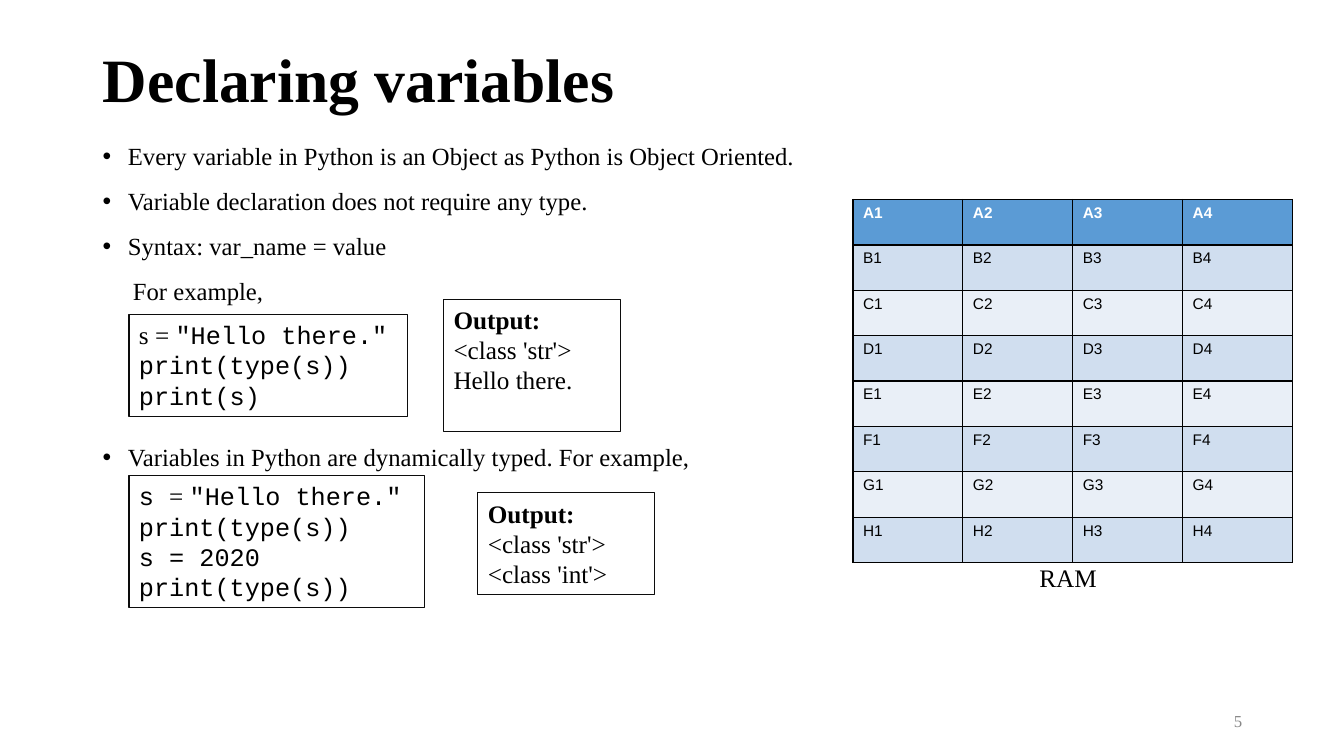
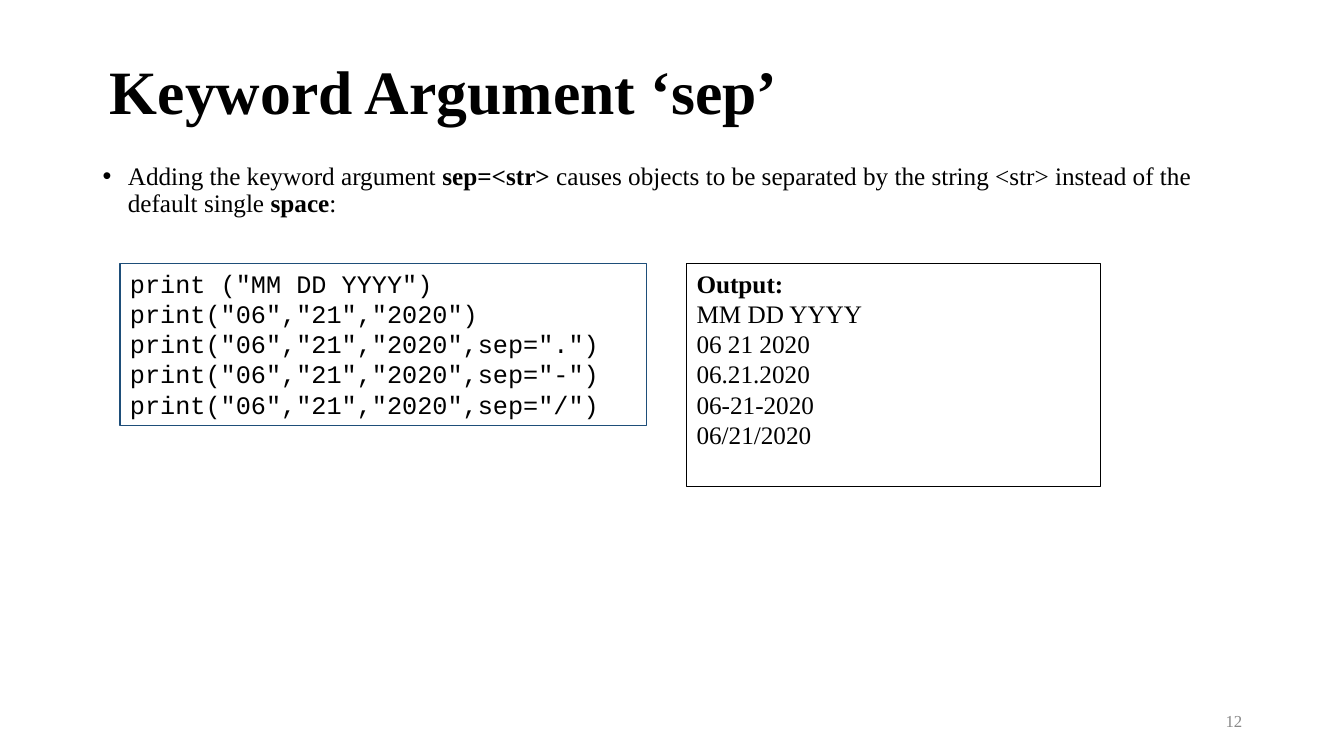
from lxml.etree import SubElement
from pptx import Presentation
from pptx.dml.color import RGBColor
from pptx.enum.shapes import MSO_SHAPE
from pptx.enum.text import MSO_ANCHOR, MSO_AUTO_SIZE, PP_ALIGN
from pptx.oxml.ns import qn
from pptx.util import Inches, Pt

BLACK = RGBColor(0x00, 0x00, 0x00)
WHITE = RGBColor(0xFF, 0xFF, 0xFF)
NEAR_BLACK = RGBColor(0x0C, 0x0C, 0x0C)
NAVY = RGBColor(0x1E, 0x4E, 0x79)
GRAY = RGBColor(0x88, 0x88, 0x88)
HEADER_BLUE = RGBColor(0x5B, 0x9B, 0xD5)
BANDS = RGBColor(0xD0, 0xDE, 0xEF), RGBColor(0xE9, 0xEF, 0xF7)

SERIF = {"name": "Times New Roman", "size": Pt(18), "bold": False, "color": BLACK}
BOLD = SERIF | {"bold": True}
CODE = SERIF | {"name": "Courier New"}
POINT = SERIF | {"size": Pt(17.6)}
TITLE = BOLD | {"size": Pt(44)}
PAGE_NUMBER = SERIF | {"size": Pt(12), "color": GRAY}
CELL = SERIF | {"name": "Arial", "size": Pt(11)}
HEADER_CELL = CELL | {"bold": True, "color": WHITE}

LINE_HEIGHT = 0.303
BOX_PADDING = 0.1
BULLET_INDENT = 0.25


def output(*lines):
    return [[("Output:", BOLD)]] + [[(line, SERIF)] for line in lines]


def code(*lines):
    return [[(line, CODE)] for line in lines]


# Points: runs, and paragraph format. Boxes: left, top, width, rows, line colour, paragraphs.
SLIDES = [
    {
        "title": "Declaring variables",
        "title_area": (0.92, 0.4, 11.5, 0.83),
        "number": "5",
        "points_area": (0.92, 1.35, 11.15, 5.19),
        "points": [
            ([("Every variable in Python is an Object as Python is Object Oriented.", POINT)], {}),
            ([("Variable declaration does not require any type.", POINT)], {"space_before": Pt(11)}),
            ([("Syntax: var_name = value", POINT)], {"space_before": Pt(11)}),
            ([("For example,", POINT)], {"space_before": Pt(11), "plain_indent": 0.3}),
            ([("Variables in Python are dynamically typed. For example,", POINT)],
             {"space_before": Pt(97.5)}),
        ],
        "boxes": [
            (1.28, 3.12, 2.76, 3, NEAR_BLACK,
             [[("s = ", SERIF), ('"Hello there."', CODE)]] + code("print(type(s))", "print(s)")),
            (4.4, 2.97, 1.75, 4, NEAR_BLACK, output("<class 'str'>", "Hello there.")),
            (1.28, 4.72, 2.93, 4, NEAR_BLACK,
             [[("s ", CODE), ("= ", SERIF), ('"Hello there."', CODE)]]
             + code("print(type(s))", "s = 2020", "print(type(s))")),
            (4.74, 4.89, 1.75, 3, NEAR_BLACK, output("<class 'str'>", "<class 'int'>")),
        ],
        "memory": {
            "cells": [[f"{row}{column}" for column in range(1, 5)] for row in "ABCDEFGH"],
            "corner": (8.46, 1.98),
            "cell_size": (1.09, 0.45),
            "caption": "RAM",
            "caption_area": (10.21, 5.53, 0.88, 0.4),
        },
    },
    {
        "title": "Keyword Argument ‘sep’",
        "title_area": (0.99, 0.4, 11.23, 1.08),
        "number": "12",
        "points_area": (0.92, 1.57, 11.5, 5.18),
        "points": [
            ([("Adding the keyword argument ", SERIF), ("sep=<str> ", BOLD),
              ("causes objects to be separated by the string <str> instead of the default single ",
               SERIF),
              ("space", BOLD), (":", SERIF)], {"line_spacing": 0.9}),
        ],
        "boxes": [
            (1.19, 2.61, 5.22, 5, NAVY,
             code('print ("MM DD YYYY")', 'print("06","21","2020")',
                  *[f'print("06","21","2020",sep="{mark}")' for mark in ".-/"])),
            (6.81, 2.61, 4.11, 7, BLACK,
             output("MM DD YYYY", "06 21 2020", "06.21.2020", "06-21-2020", "06/21/2020")),
        ],
    },
]


def set_attributes(target, values):
    for attribute, value in values.items():
        setattr(target, attribute, value)


def write_runs(paragraph, runs):
    for text, look in runs:
        run = paragraph.add_run()
        run.text = text
        set_attributes(run.font, {key: look[key] for key in ("name", "size", "bold")})
        run.font.color.rgb = look["color"]


def write_paragraphs(frame, paragraphs, anchor=MSO_ANCHOR.TOP, **paragraph_format):
    set_attributes(frame, {"word_wrap": True, "auto_size": MSO_AUTO_SIZE.NONE,
                           "vertical_anchor": anchor})
    for index, runs in enumerate(paragraphs):
        paragraph = frame.add_paragraph() if index else frame.paragraphs[0]
        set_attributes(paragraph, {"alignment": PP_ALIGN.LEFT} | paragraph_format)
        write_runs(paragraph, runs)


def indent(paragraph, left, bullet=False):
    properties = paragraph._p.get_or_add_pPr()
    properties.set("marL", str(Inches(left)))
    properties.set("indent", str(-Inches(left) if bullet else 0))
    if bullet:
        color = SubElement(properties, qn("a:buClr"))
        SubElement(color, qn("a:srgbClr"), val=str(BLACK))
        SubElement(properties, qn("a:buFont"), typeface="Arial")
        SubElement(properties, qn("a:buChar"), char="•")


def add_text(slide, area, paragraphs, **text_format):
    frame = slide.shapes.add_textbox(*map(Inches, area)).text_frame
    write_paragraphs(frame, paragraphs, **text_format)
    return frame


def add_title(slide, text, area):
    title = slide.shapes.title
    set_attributes(title, dict(zip(("left", "top", "width", "height"), map(Inches, area))))
    write_paragraphs(title.text_frame, [[(text, TITLE)]], MSO_ANCHOR.MIDDLE, line_spacing=0.9)


def add_points(slide, area, points):
    frame = add_text(slide, area, [runs for runs, _ in points])
    for paragraph, (_, look) in zip(frame.paragraphs, points):
        look = dict(look)
        plain_indent = look.pop("plain_indent", None)
        set_attributes(paragraph, look)
        indent(paragraph, plain_indent or BULLET_INDENT, bullet=plain_indent is None)


def add_box(slide, left, top, width, rows, line_color, paragraphs):
    area = left, top, width, rows * LINE_HEIGHT + BOX_PADDING
    box = slide.shapes.add_shape(MSO_SHAPE.RECTANGLE, *map(Inches, area))
    box.shadow.inherit = False
    box.fill.background()
    box.line.color.rgb = line_color
    box.line.width = Pt(0.75)
    write_paragraphs(box.text_frame, paragraphs, MSO_ANCHOR.TOP)


def fill_cell(cell, color):
    """Give a cell its fill and a thin black border on all sides."""
    properties = cell._tc.get_or_add_tcPr()
    for side in ("lnL", "lnR", "lnT", "lnB"):
        border = SubElement(properties, qn(f"a:{side}"), w=str(Pt(1)))
        SubElement(SubElement(border, qn("a:solidFill")), qn("a:srgbClr"), val=str(BLACK))
    cell.fill.solid()
    cell.fill.fore_color.rgb = color


def add_memory(slide, cells, corner, cell_size, caption, caption_area):
    width, height = cell_size
    size = width * len(cells[0]), height * len(cells)
    table = slide.shapes.add_table(len(cells), len(cells[0]), *map(Inches, corner + size)).table
    for row, labels in enumerate(cells):
        for column, label in enumerate(labels):
            cell = table.cell(row, column)
            write_runs(cell.text_frame.paragraphs[0], [(label, CELL if row else HEADER_CELL)])
            fill_cell(cell, BANDS[(row - 1) % 2] if row else HEADER_BLUE)
    add_text(slide, caption_area, [[(caption, SERIF)]])


def main():
    deck = Presentation()
    deck.slide_width, deck.slide_height = Inches(13.33), Inches(7.5)
    title_only = deck.slide_layouts[5]
    for content in SLIDES:
        slide = deck.slides.add_slide(title_only)
        add_title(slide, content["title"], content["title_area"])
        add_points(slide, content["points_area"], content["points"])
        add_text(slide, (9.42, 6.95, 3, 0.4), [[(content["number"], PAGE_NUMBER)]],
                 anchor=MSO_ANCHOR.MIDDLE, alignment=PP_ALIGN.RIGHT)
        for box in content["boxes"]:
            add_box(slide, *box)
        if "memory" in content:
            add_memory(slide, **content["memory"])
    deck.save("out.pptx")


if __name__ == "__main__":
    main()
